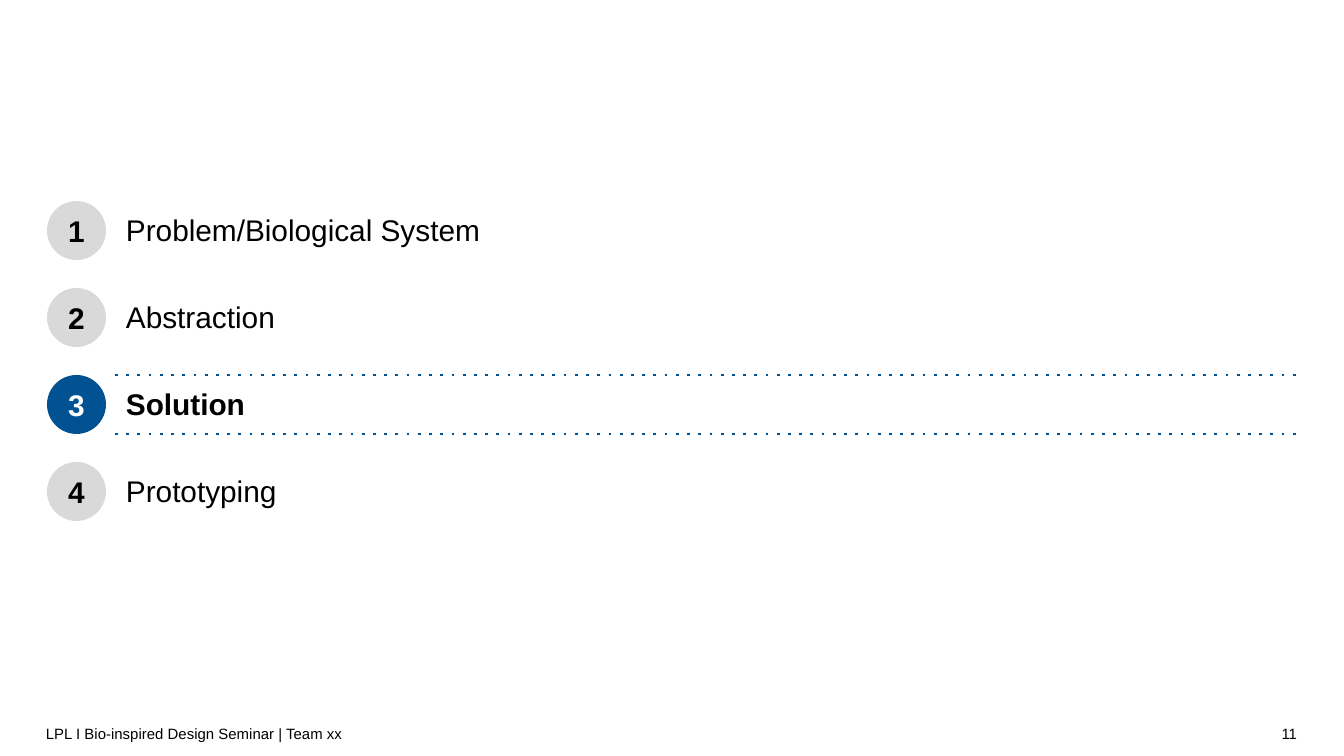
from dataclasses import dataclass

from pptx import Presentation
from pptx.dml.color import RGBColor
from pptx.enum.dml import MSO_LINE as Dash
from pptx.enum.shapes import MSO_CONNECTOR as Link, MSO_SHAPE as Form
from pptx.enum.text import MSO_ANCHOR as Anchor, PP_ALIGN as Align
from pptx.oxml.ns import qn
from pptx.util import Pt
from lxml.etree import SubElement

SCALE = 914400 / 134.4
BLACK, WHITE, GREY, BLUE = "000000", "FFFFFF", "D9D9D9", "005293"
LEFT, RIGHT, TEXT = 47, 1297, 115
TOP, STEP, SIZE, PAD = 201, 87, 59, 11


@dataclass
class Topic:
    name: str
    live: bool = False


TOPICS = [
    Topic("Problem/Biological System"),
    Topic("Abstraction"),
    Topic("Solution", live=True),
    Topic("Prototyping"),
]


def px(n: int) -> int:
    return round(n * SCALE)


def color(code: str) -> RGBColor:
    return RGBColor.from_string(code)


def write(shape, text: str, *, size=16, ink=BLACK, bold=False,
          align=Align.LEFT, anchor=Anchor.MIDDLE, pad=(PAD, PAD, PAD, PAD)) -> None:
    """Fill a shape with one line of text; pad is left, top, right, bottom."""
    frame = shape.text_frame
    frame.word_wrap = True
    frame.vertical_anchor = anchor
    (frame.margin_left, frame.margin_top,
     frame.margin_right, frame.margin_bottom) = map(px, pad)
    para = frame.paragraphs[0]
    para.alignment = align
    run = para.add_run()
    run.text = text
    font = run.font
    font.name, font.size, font.bold = "Arial", Pt(size), bold
    font.color.rgb = color(ink)


def label(x: int, y: int, w: int, h: int, text: str, **style) -> None:
    write(slide.shapes.add_textbox(*map(px, (x, y, w, h))), text, **style)


def badge(y: int, num: int, live: bool) -> None:
    disc = slide.shapes.add_shape(Form.OVAL, *map(px, (LEFT, y, SIZE, SIZE)))
    disc.shadow.inherit = False
    disc.fill.solid()
    disc.fill.fore_color.rgb = color(BLUE if live else GREY)
    disc.line.fill.background()
    write(disc, str(num), bold=True, ink=WHITE if live else BLACK,
          align=Align.CENTER)


def rule(y: int) -> None:
    line = slide.shapes.add_connector(
        Link.STRAIGHT, *map(px, (TEXT, y, RIGHT, y)))
    line.line.color.rgb = color(BLUE)
    line.line.width = Pt(1.5)
    line.line.dash_style = Dash.ROUND_DOT
    # Wide-spaced dots are only reachable in XML
    next(line.element.iter(qn("a:prstDash"))).set("val", "dot")
    SubElement(line.element.spPr, qn("a:effectLst"))


deck = Presentation()
deck.slide_width, deck.slide_height = px(1344), px(756)
slide = deck.slides.add_slide(deck.slide_layouts[6])

# Agenda, with the current topic between dotted rules
for i, topic in enumerate(TOPICS):
    y = TOP + i * STEP
    if topic.live:
        rule(y)
        rule(y + SIZE)
    label(TEXT, y, 400, SIZE, topic.name, bold=topic.live,
          anchor=Anchor.TOP, pad=(PAD, PAD, 0, PAD))
    badge(y, i + 1, topic.live)

# Footer
foot = dict(size=8, pad=(0, 7, 0, 7))
label(46, 714, 950, 40, "LPL I Bio-inspired Design Seminar | Team xx", **foot)
label(996, 714, RIGHT - 996, 40, "11", align=Align.RIGHT, **foot)

deck.save("out.pptx")
